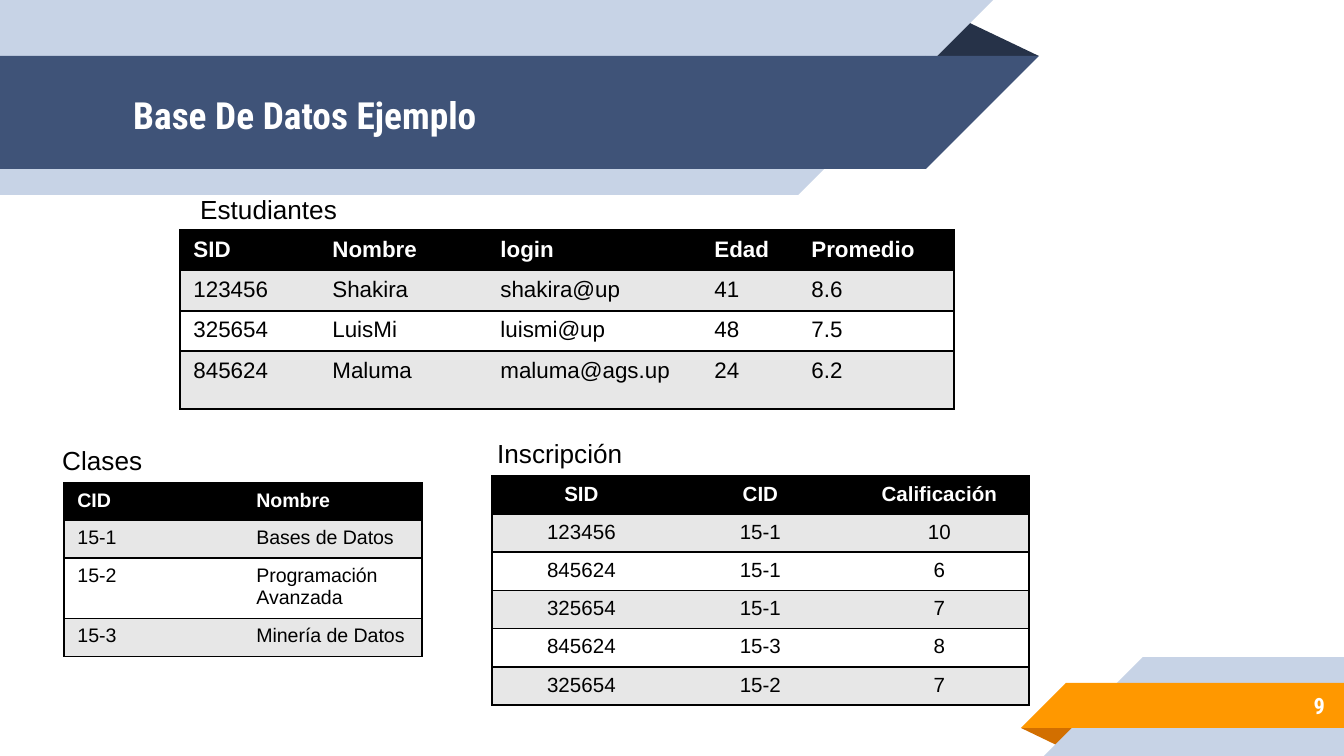
from dataclasses import dataclass

from lxml.etree import SubElement, Element
from pptx import Presentation
from pptx.dml.color import RGBColor
from pptx.enum.shapes import MSO_SHAPE as Shape
from pptx.enum.text import MSO_ANCHOR as Anchor, PP_ALIGN as Align
from pptx.oxml.ns import qn
from pptx.util import Emu, Pt

EMU_PER_PX = 914400 / 134.4


@dataclass(frozen=True)
class Theme:
    pale: str = "C7D3E6"
    navy: str = "3F5378"
    navy_fold: str = "263248"
    orange: str = "FF9800"
    orange_fold: str = "D26F00"
    black: str = "000000"
    white: str = "FFFFFF"
    stripe: str = "E7E7E7"
    display_font: str = "Roboto Condensed"
    body_font: str = "Arial"
    title_size: float = 20
    label_size: float = 14
    number_size: float = 12
    students_size: float = 12
    classes_size: float = 10.5
    enrolment_size: float = 11
    border_width: float = 1


def px(length):
    return Emu(round(length * EMU_PER_PX))


class SlideBuilder:
    """Draws styled elements on one slide, with lengths in px."""

    def __init__(self, slide, theme):
        self.slide = slide
        self.theme = theme

    def shape(self, kind, left, top, width, height, color, rotation=0):
        shape = self.slide.shapes.add_shape(kind, px(left), px(top), px(width), px(height))
        shape.shadow.inherit = False
        shape.fill.solid()
        shape.fill.fore_color.rgb = RGBColor.from_string(color)
        shape.line.fill.background()
        shape.rotation = rotation
        return shape

    def fold(self, left, top, width, height, color, rotation=0):
        shape = self.shape(Shape.ISOSCELES_TRIANGLE, left, top, width, height, color, rotation)
        shape.adjustments[0] = 0.32

    def left_band(self, top, width, height, color):
        self.shape(Shape.RECTANGLE, 0, top, width, height, color)
        self.shape(Shape.RIGHT_TRIANGLE, width, top, height, height, color, 90)

    def right_band(self, left, top, height, color):
        self.shape(Shape.RECTANGLE, left, top, 1344 - left, height, color)
        self.shape(Shape.RIGHT_TRIANGLE, left - height, top, height, height, color, 270)

    def style(self, paragraph, font, size, color, bold=False, align=Align.LEFT):
        paragraph.alignment = align
        paragraph.font.name = font
        paragraph.font.size = Pt(size)
        paragraph.font.bold = bold
        paragraph.font.color.rgb = RGBColor.from_string(color)

    def text_box(self, text, left, top, width, height):
        frame = self.slide.shapes.add_textbox(px(left), px(top), px(width), px(height)).text_frame
        frame.text = text
        return frame

    def display_text(self, text, left, top, width, height, size, align=Align.LEFT):
        frame = self.text_box(text, left, top, width, height)
        frame.word_wrap = True
        frame.vertical_anchor = Anchor.MIDDLE
        self.style(frame.paragraphs[0], self.theme.display_font, size, self.theme.white, True, align)

    def label(self, text, left, top, width):
        frame = self.text_box(text, left, top, width, 46)
        frame.word_wrap = False
        self.style(frame.paragraphs[0], self.theme.body_font, self.theme.label_size, self.theme.black)

    def borders(self, cell, first, last):
        properties = cell._tc.get_or_add_tcPr()
        sides = {"lnL": first, "lnR": last, "lnT": True, "lnB": True}
        for index, (side, visible) in enumerate(sides.items()):
            line = Element(qn(f"a:{side}"), w=str(Pt(self.theme.border_width)))
            fill = SubElement(line, qn("a:solidFill" if visible else "a:noFill"))
            if visible:
                SubElement(fill, qn("a:srgbClr"), val=self.theme.black)
            properties.insert(index, line)

    def table(self, left, top, columns, heights, rows, size, align=Align.LEFT):
        theme = self.theme
        table = self.slide.shapes.add_table(
            len(rows), len(columns), px(left), px(top), px(sum(columns)), px(sum(heights))
        ).table
        for column, width in zip(table.columns, columns):
            column.width = px(width)
        for row, height in zip(table.rows, heights):
            row.height = px(height)
        for r, row in enumerate(rows):
            header = r == 0
            background = theme.black if header else theme.stripe if r % 2 else theme.white
            for c, text in enumerate(row):
                cell = table.cell(r, c)
                cell.text = text
                cell.fill.solid()
                cell.fill.fore_color.rgb = RGBColor.from_string(background)
                self.borders(cell, c == 0, c == len(columns) - 1)
                self.style(cell.text_frame.paragraphs[0], theme.body_font, size,
                           theme.white if header else theme.black, header, align)


STUDENTS = [
    ("SID", "Nombre", "login", "Edad", "Promedio"),
    ("123456", "Shakira", "shakira@up", "41", "8.6"),
    ("325654", "LuisMi", "luismi@up", "48", "7.5"),
    ("845624", "Maluma", "maluma@ags.up", "24", "6.2"),
]
CLASSES = [
    ("CID", "Nombre"),
    ("15-1", "Bases de Datos"),
    ("15-2", "Programación Avanzada"),
    ("15-3", "Minería de Datos"),
]
ENROLMENT = [
    ("SID", "CID", "Calificación"),
    ("123456", "15-1", "10"),
    ("845624", "15-1", "6"),
    ("325654", "15-1", "7"),
    ("845624", "15-3", "8"),
    ("325654", "15-2", "7"),
]


def main():
    theme = Theme()
    presentation = Presentation()
    presentation.slide_width, presentation.slide_height = px(1344), px(756)
    slide = presentation.slides.add_slide(presentation.slide_layouts[6])
    builder = SlideBuilder(slide, theme)

    builder.fold(925, 19, 114, 37, theme.navy_fold)
    builder.left_band(0, 798, 195, theme.pale)
    builder.left_band(56, 926, 113, theme.navy)
    builder.fold(1021, 728, 58, 19, theme.orange_fold, 180)
    builder.right_band(1143, 657, 99, theme.pale)
    builder.right_band(1066, 683, 45, theme.orange)

    builder.display_text("Base De Datos Ejemplo", 120, 58, 808, 113, theme.title_size)
    builder.display_text("9", 1119, 682, 219, 47, theme.number_size, Align.RIGHT)

    builder.table(180, 230, [139, 168, 214, 97, 156], [39, 39, 39, 58],
                  STUDENTS, theme.students_size)
    builder.table(64, 483, [179] * 2, [37, 38, 57, 38], CLASSES, theme.classes_size)
    builder.table(492, 476, [179] * 3, [36] * 6, ENROLMENT, theme.enrolment_size, Align.CENTER)

    builder.label("Estudiantes", 187, 187, 165)
    builder.label("Clases", 49, 438, 108)
    builder.label("Inscripción", 484, 431, 153)

    presentation.save("out.pptx")


if __name__ == "__main__":
    main()
